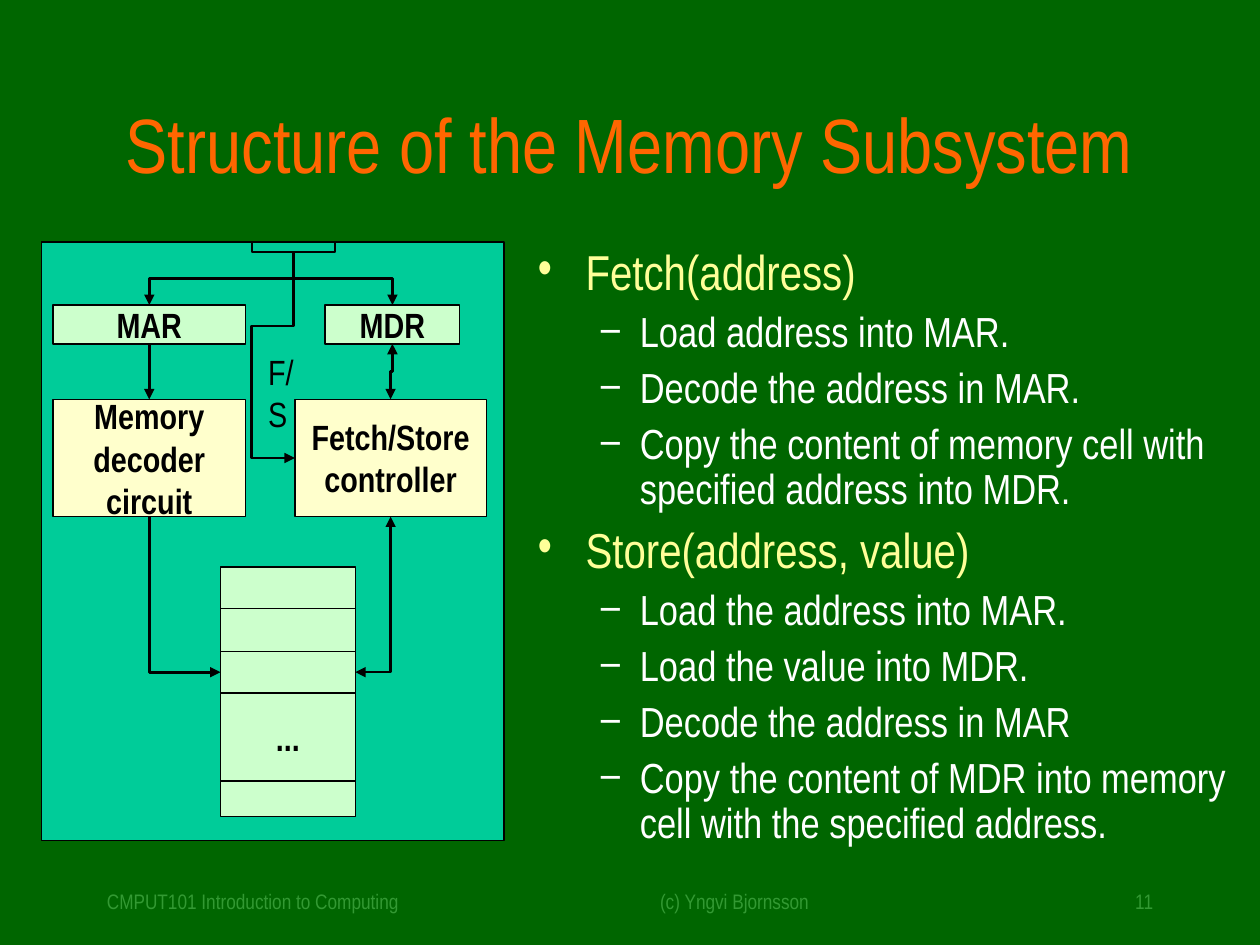
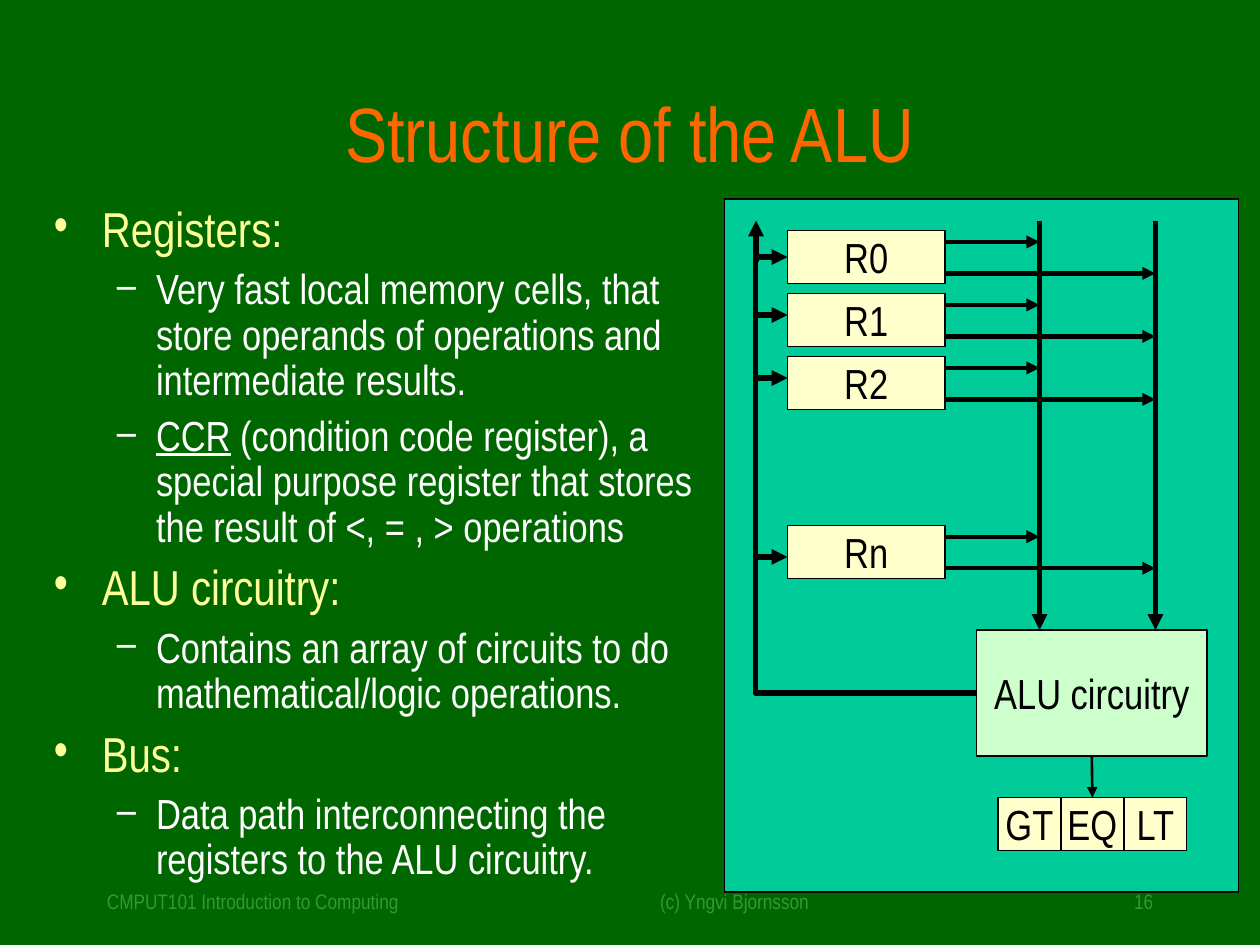
from dataclasses import dataclass
from typing import NamedTuple

from lxml import etree
from pptx import Presentation
from pptx.dml.color import RGBColor
from pptx.enum.shapes import MSO_CONNECTOR, MSO_SHAPE
from pptx.enum.text import MSO_ANCHOR, PP_ALIGN
from pptx.oxml.ns import qn
from pptx.util import Inches, Pt

LEFT, CENTER, RIGHT = PP_ALIGN.LEFT, PP_ALIGN.CENTER, PP_ALIGN.RIGHT
TOP, MIDDLE = MSO_ANCHOR.TOP, MSO_ANCHOR.MIDDLE
RECT = MSO_SHAPE.RECTANGLE
STRAIGHT, ELBOW = MSO_CONNECTOR.STRAIGHT, MSO_CONNECTOR.ELBOW
SIDE_TOP, SIDE_LEFT, SIDE_BOTTOM, SIDE_RIGHT = range(4)


@dataclass(frozen=True)
class Theme:
    font: str = "Arial Narrow"
    background: str = "006600"
    title: str = "FF6600"
    heading: str = "FFFF99"
    body: str = "FFFFFF"
    footer: str = "339933"
    ink: str = "000000"
    panel: str = "00CC99"
    mint: str = "CCFFCC"
    cream: str = "FFFFCC"
    title_size: int = 44
    heading_size: int = 28
    body_size: int = 24
    label_size: int = 20
    footer_size: int = 12
    thin: float = 0.75
    wire: float = 1.5
    register_wire: float = 2.5
    bus: float = 3


class Area(NamedTuple):
    x: float
    y: float
    w: float
    h: float


class Point(NamedTuple):
    x: float
    y: float


class Bullet(NamedTuple):
    text: str
    level: int = 1
    underlined: str = ""


class BulletStyle(NamedTuple):
    char: str
    color: str
    size: int
    margin: float
    hang: float
    before: int


T = Theme()
BULLETS = (
    BulletStyle("•", T.heading, T.heading_size, 0.38, 0.38, 7),
    BulletStyle("–", T.body, T.body_size, 0.81, 0.31, 6),
)


def add_text(p, text: str, *, size: int, color: str = T.ink, bold: bool = False,
             underline: bool = False, align=LEFT) -> None:
    p.alignment = align
    r = p.add_run()
    r.text = text
    r.font.name, r.font.size = T.font, Pt(size)
    r.font.bold, r.font.underline = bold, underline
    r.font.color.rgb = RGBColor.from_string(color)


def fill_frame(tf, text: str, *, anchor=TOP, wrap: bool = True, **fmt) -> None:
    tf.word_wrap, tf.vertical_anchor = wrap, anchor
    for i, line in enumerate(text.split("\n")):
        add_text(tf.paragraphs[0] if i == 0 else tf.add_paragraph(), line, **fmt)


def add_label(s, area: Area, text: str, **fmt) -> None:
    fill_frame(s.shapes.add_textbox(*map(Inches, area)).text_frame, text, **fmt)


def add_box(s, area: Area, fill: str, text: str = "", **fmt):
    sp = s.shapes.add_shape(RECT, *map(Inches, area))
    sp.shadow.inherit = False
    sp.fill.solid()
    sp.fill.fore_color.rgb = RGBColor.from_string(fill)
    sp.line.color.rgb = RGBColor.from_string(T.ink)
    sp.line.width = Pt(T.thin)
    if text:
        fill_frame(sp.text_frame, text, anchor=MIDDLE, wrap=False, align=CENTER, **fmt)
    return sp


def add_bullets(s, area: Area, bullets: list[Bullet]) -> None:
    tf = s.shapes.add_textbox(*map(Inches, area)).text_frame
    tf.word_wrap = True
    for i, bullet in enumerate(bullets):
        p = tf.paragraphs[0] if i == 0 else tf.add_paragraph()
        style = BULLETS[bullet.level]
        p.level, p.line_spacing, p.space_before = bullet.level, 0.9, Pt(style.before)
        for text, underline in ((bullet.underlined, True), (bullet.text, False)):
            if text:
                add_text(p, text, size=style.size, color=style.color, underline=underline)
        pPr = p._p.get_or_add_pPr()
        pPr.set("marL", str(Inches(style.margin)))
        pPr.set("indent", str(-Inches(style.hang)))
        color = etree.SubElement(pPr, qn("a:buClr"))
        etree.SubElement(color, qn("a:srgbClr"), val=style.color)
        etree.SubElement(pPr, qn("a:buFont"), typeface=T.font)
        etree.SubElement(pPr, qn("a:buChar"), char=style.char)


def style_wire(cx, width: float, head: bool, tail: bool) -> None:
    cx.line.color.rgb = RGBColor.from_string(T.ink)
    cx.line.width = Pt(width)
    ln = cx.line._get_or_add_ln()
    for tag, shown in (("a:headEnd", head), ("a:tailEnd", tail)):
        if shown:
            etree.SubElement(ln, qn(tag), type="triangle")
    etree.SubElement(cx._element.spPr, qn("a:effectLst"))


def add_line(s, start: Point, end: Point, width: float, tail: bool = True):
    cx = s.shapes.add_connector(STRAIGHT, *map(Inches, (*start, *end)))
    style_wire(cx, width, False, tail)
    return cx


def join_down(s, upper, lower) -> None:
    cx = add_line(s, Point(0, 0), Point(1, 1), T.wire)
    cx.begin_connect(upper, SIDE_BOTTOM)
    cx.end_connect(lower, SIDE_TOP)


def add_elbow(s, start, start_side: int, end, end_side: int, turn: int, bends: int,
              adjust: tuple[float, ...] = (), width: float = T.wire,
              head: bool = False) -> None:
    cx = s.shapes.add_connector(ELBOW, 0, 0, 0, 0)
    cx.begin_connect(start, start_side)
    cx.end_connect(end, end_side)
    x1, y1, x2, y2 = cx.begin_x, cx.begin_y, cx.end_x, cx.end_y
    dx, dy = x2 - x1, y2 - y1
    along, across = {0: (dx, dy), 90: (dy, -dx), 180: (-dx, -dy), 270: (-dy, dx)}[turn]
    cx.width, cx.height = abs(along), abs(across)
    cx.left = (x1 + x2 - cx.width) // 2
    cx.top = (y1 + y2 - cx.height) // 2
    xfrm = cx._element.spPr.find(qn("a:xfrm"))
    xfrm.set("rot", str(turn * 60000))
    xfrm.set("flipH", str(int(along < 0)))
    xfrm.set("flipV", str(int(across < 0)))
    geom = cx._element.spPr.find(qn("a:prstGeom"))
    geom.set("prst", f"bentConnector{bends}")
    guides = geom.find(qn("a:avLst"))
    for i, value in enumerate(adjust, 1):
        etree.SubElement(guides, qn("a:gd"), name=f"adj{i}",
                         fmla=f"val {round(value * 100000)}")
    style_wire(cx, width, head, True)


def add_base(prs, number: int):
    s = prs.slides.add_slide(prs.slide_layouts[6])
    s.background.fill.solid()
    s.background.fill.fore_color.rgb = RGBColor.from_string(T.background)
    for x, w, text, align in (
        (0.75, 3.67, "CMPUT101 Introduction to Computing", LEFT),
        (4.58, 2.5, "(c) Yngvi Bjornsson", CENTER),
        (7.17, 2.08, str(number), RIGHT),
    ):
        add_label(s, Area(x, 7, w, 0.33), text, size=T.footer_size, color=T.footer, align=align)
    return s


def add_title(s, text: str, height: float) -> None:
    add_label(s, Area(0.75, 0.67, 8.5, height), text, size=T.title_size, color=T.title,
              align=CENTER, anchor=MIDDLE)


def build_memory(prs) -> None:
    s = add_base(prs, 11)
    add_title(s, "Structure of the Memory Subsystem", 0.92)
    add_bullets(s, Area(4.17, 1.92, 5.67, 5.25), [
        Bullet("Fetch(address)", 0),
        Bullet("Load address into MAR."),
        Bullet("Decode the address in MAR."),
        Bullet("Copy the content of memory cell with specified address into MDR."),
        Bullet("Store(address, value)", 0),
        Bullet("Load the address into MAR."),
        Bullet("Load the value into MDR."),
        Bullet("Decode the address in MAR"),
        Bullet("Copy the content of MDR into memory cell with the specified address."),
    ])
    add_box(s, Area(0.33, 1.92, 3.67, 4.75), T.panel)
    label = dict(size=T.label_size, bold=True)
    mar = add_box(s, Area(0.42, 2.42, 1.53, 0.31), T.mint, "MAR", **label)
    mdr = add_box(s, Area(2.58, 2.42, 1.07, 0.31), T.mint, "MDR", **label)
    cells = [
        add_box(s, Area(1.75, y, 1.07, h), T.mint, text, **label)
        for y, h, text in ((4.5, 0.33, ""), (4.83, 0.39, ""), (5.17, 0.33, ""),
                           (6.17, 0.31, ""), (5.5, 0.7, "..."))
    ]
    target = cells[2]
    decoder = add_box(s, Area(0.42, 3.17, 1.53, 0.93), T.cream,
                      "Memory\ndecoder\ncircuit", **label)
    controller = add_box(s, Area(2.34, 3.17, 1.52, 0.93), T.cream,
                         "Fetch/Store\ncontroller", **label)
    add_elbow(s, decoder, SIDE_BOTTOM, target, SIDE_LEFT, 270, 2)
    add_elbow(s, target, SIDE_RIGHT, controller, SIDE_BOTTOM, 0, 2, head=True)
    add_elbow(s, controller, SIDE_TOP, mdr, SIDE_BOTTOM, 90, 3, (0.5,), head=True)
    join_down(s, mar, decoder)
    add_line(s, Point(2.08, 1.92), Point(2.42, 1.92), T.thin, tail=False)
    port = add_box(s, Area(2, 1.92, 0.66, 0.08), T.panel)
    add_elbow(s, port, SIDE_BOTTOM, mar, SIDE_TOP, 90, 3, (0.5,))
    add_elbow(s, port, SIDE_BOTTOM, mdr, SIDE_TOP, 270, 3, (0.5,))
    add_elbow(s, port, SIDE_BOTTOM, controller, SIDE_LEFT, 270, 4, (0.36, -34))
    add_label(s, Area(2.03, 2.73, 0.55, 0.44), "F/S", size=T.label_size, wrap=False)


def build_alu(prs) -> None:
    s = add_base(prs, 16)
    add_box(s, Area(5.75, 1.58, 4.08, 5.5), T.panel)
    add_title(s, "Structure of the ALU", 0.75)
    add_bullets(s, Area(0.33, 1.58, 5.42, 5.5), [
        Bullet("Registers:", 0),
        Bullet("Very fast local memory cells, that store operands of operations "
               "and intermediate results."),
        Bullet(" (condition code register), a special purpose register that stores "
               "the result of <, = , > operations", underlined="CCR"),
        Bullet("ALU circuitry:", 0),
        Bullet("Contains an array of circuits to do mathematical/logic operations."),
        Bullet("Bus:", 0),
        Bullet("Data path interconnecting the registers to the ALU circuitry."),
    ])
    alu = add_box(s, Area(7.75, 5, 1.83, 1), T.mint, "ALU circuitry", size=T.body_size)
    buses = (8.25, 9.17)
    for x in buses:
        add_line(s, Point(x, 1.75), Point(x, 5), T.bus)
    registers = {"R0": 1.83, "R1": 2.33, "R2": 2.83, "Rn": 4.17}
    for top in registers.values():
        for x, drop in zip(buses, (0.09, 0.34)):
            add_line(s, Point(7.33, top + drop), Point(x, top + drop), T.register_wire)
    flags = [add_box(s, Area(7.92 + 0.5 * i, 6.33, 0.5, 0.42), T.cream, name, size=T.body_size)
             for i, name in enumerate(("GT", "EQ", "LT"))]
    join_down(s, alu, flags[1])
    boxes = [add_box(s, Area(6.25, top, 1.25, 0.42), T.cream, name, size=T.body_size)
             for name, top in registers.items()]
    add_elbow(s, alu, SIDE_LEFT, boxes[0], SIDE_LEFT, 180, 3, (1.17,), T.bus)
    for y in (4.42, 2.5, 3):
        add_line(s, Point(6, y), Point(6.25, y), T.bus)
    add_line(s, Point(6, 2.08), Point(6, 1.75), T.bus)


def main() -> None:
    prs = Presentation()
    prs.slide_width, prs.slide_height = Inches(10), Inches(7.5)
    build_memory(prs)
    build_alu(prs)
    prs.save("out.pptx")


if __name__ == "__main__":
    main()
